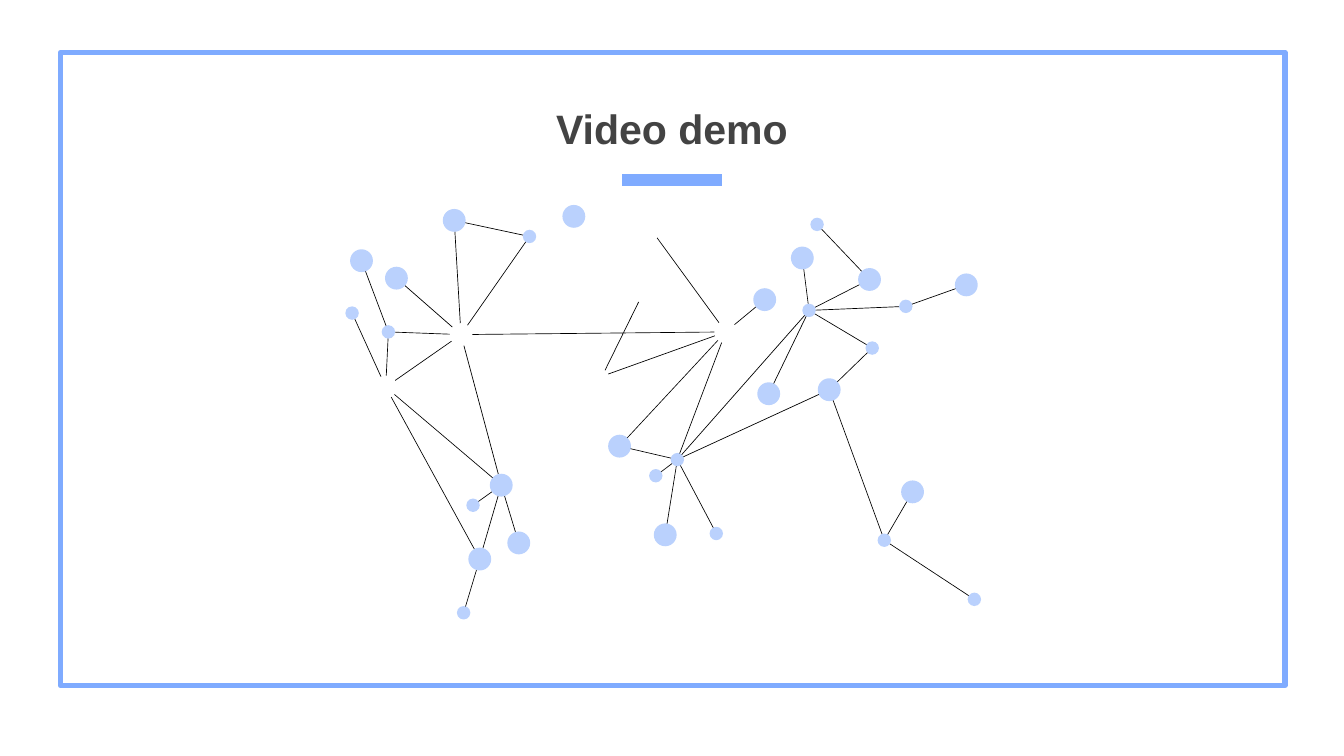
"""Build the video demo slide with its network of nodes and links."""
import math

from lxml import etree
from pptx import Presentation, util as u
from pptx.dml import color
from pptx.enum import shapes, text
from pptx.oxml import ns

HUES = {"frame": "7FABFF", "node": "BAD1FD", "blank": "FFFFFF",
        "link": "000000", "title": "434343"}
BIG, SMALL = 0.17, 0.1
LARGE = {
    "A": (3.38, 1.64), "B": (4.27, 1.61), "C": (2.69, 1.94), "D": (2.95, 2.07),
    "E": (5.97, 1.92), "F": (6.47, 2.08), "G": (7.19, 2.12), "H": (5.69, 2.23),
    "I": (5.72, 2.93), "J": (6.17, 2.9), "K": (4.61, 3.32), "L": (3.73, 3.61),
    "M": (3.86, 4.04), "N": (3.57, 4.16), "O": (4.95, 3.98), "P": (6.79, 3.66),
    "Q": (5.4, 2.47), "R": (3.43, 2.49), "S": (2.87, 2.88), "T": (4.79, 2.17),
}
MINOR = {
    "a": (2.89, 2.47), "b": (6.02, 2.31), "c": (5.04, 3.42), "d": (3.52, 3.76),
    "e": (2.62, 2.33), "f": (6.74, 2.28), "g": (6.08, 1.67), "h": (5.33, 3.97),
    "i": (7.25, 4.46), "j": (3.45, 4.56), "k": (4.88, 3.54), "l": (6.58, 4.02),
    "m": (6.49, 2.59), "n": (3.94, 1.76), "o": (4.48, 2.8), "p": (4.86, 1.73),
}
BLANK = "QRSTop"
LINKS = ("An AR nR DR aR Ca aS eS RS RL RQ SL SN Nj NL Ld LM To oQ Qp QH QK "
         "Qc Kc ck cO ch cb cJ Jm mb bE bF Fg bf fG bI Jl lP li")


def paint(name):
    """Return the named colour."""
    return color.RGBColor.from_string(HUES[name])


def flat(shape, hue):
    """Give a shape a plain fill with no line or shadow."""
    shape.shadow.inherit = False
    shape.fill.solid()
    shape.fill.fore_color.rgb = paint(hue)
    shape.line.fill.background()


def write(shape, words, size, hue, bold=False, align=text.PP_ALIGN.CENTER,
          anchor=text.MSO_ANCHOR.BOTTOM, font="Arial", inset=0.1):
    """Put formatted text into a shape."""
    frame = shape.text_frame
    frame.text = words
    frame.word_wrap = True
    frame.auto_size = text.MSO_AUTO_SIZE.NONE
    frame.vertical_anchor = anchor
    frame.margin_left = frame.margin_right = u.Inches(inset)
    frame.margin_top = frame.margin_bottom = u.Inches(inset)
    para = frame.paragraphs[0]
    para.alignment = align
    face = para.runs[0].font
    face.name, face.size, face.bold = font, u.Pt(size), bold
    face.color.rgb = paint(hue)


def border(slide, left, top, width, height):
    """Draw the open frame around the slide."""
    box = slide.shapes.add_shape(
        shapes.MSO_SHAPE.RECTANGLE,
        *map(u.Inches, (left, top, width, height)))
    box.shadow.inherit = False
    box.fill.background()
    box.line.color.rgb = paint("frame")
    box.line.width = u.Pt(3)
    etree.SubElement(box.line._get_or_add_ln(), ns.qn("a:round"))


def rule(slide, start, end, hue, width):
    """Draw a straight line between two points."""
    wire = slide.shapes.add_connector(
        shapes.MSO_CONNECTOR.STRAIGHT, *map(u.Inches, (*start, *end)))
    wire.line.color.rgb = paint(hue)
    wire.line.width = u.Pt(width)
    etree.SubElement(wire._element.spPr, ns.qn("a:effectLst"))


def strip(start, end, width):
    """Return the corners of a thin strip between two points."""
    (left, top), (right, low) = start, end
    scale = width / 2 / math.dist(start, end)
    dx, dy = (top - low) * scale, (right - left) * scale
    ends = ((left + dx, top + dy), (right + dx, low + dy),
            (right - dx, low - dy), (left - dx, top - dy))
    return [(u.Inches(x), u.Inches(y)) for x, y in ends]


def web(slide, spots, width):
    """Draw all links as one filled outline."""
    pen = None
    for start, end in LINKS.split():
        first, *rest = strip(spots[start], spots[end], width)
        if pen is None:
            pen = slide.shapes.build_freeform(*first)
        else:
            pen.move_to(*first)
        pen.add_line_segments(rest, close=True)
    flat(pen.convert_to_shape(), "link")


def node(group, spot, size, hue):
    """Draw a round node centred on a point."""
    left, top = (value - size / 2 for value in spot)
    dot = group.shapes.add_shape(
        shapes.MSO_SHAPE.OVAL, *map(u.Inches, (left, top, size, size)))
    flat(dot, hue)


def network(slide):
    """Draw the links, then the nodes above them."""
    spots = {**LARGE, **MINOR}
    web(slide, spots, 0.01 / 2)
    group = slide.shapes.add_group_shape()
    for name, spot in spots.items():
        size = BIG if name in LARGE else SMALL
        node(group, spot, size, "blank" if name in BLANK else "node")


def main():
    """Build and save the slide."""
    deck = Presentation()
    deck.slide_width = u.Inches(10)
    deck.slide_height = deck.slide_width * 9 // 16
    slide = deck.slides.add_slide(deck.slide_layouts[5])
    border(slide, 0.45, 0.39, 9.11, 4.71)
    rule(slide, (4.63, 1.34), (5.37, 1.34), "frame", 6)
    network(slide)
    title = slide.shapes.title
    title.left, title.top = u.Inches(0), u.Inches(0.24)
    title.width, title.height = u.Inches(10), u.Inches(1)
    write(title, "Video demo", size=22, hue="title", bold=True)
    deck.save("out.pptx")


if __name__ == "__main__":
    main()
